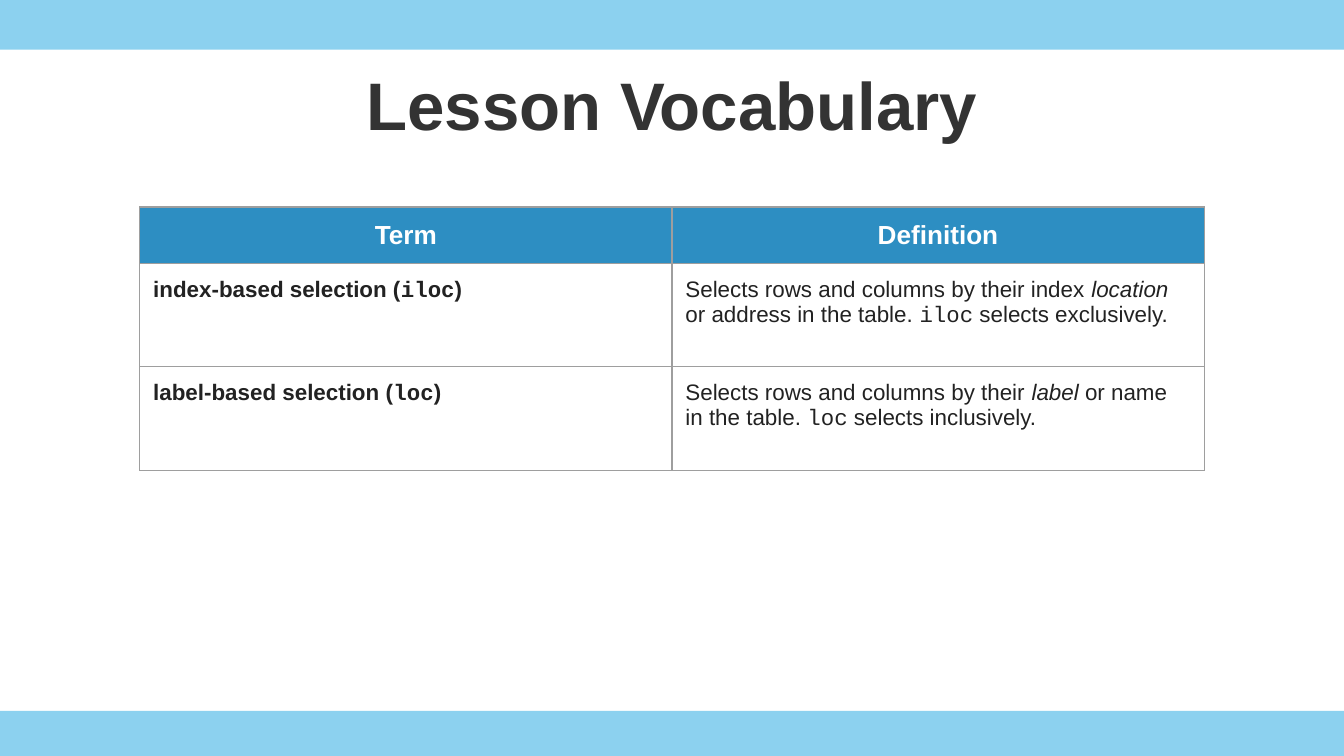
"""Build the lesson vocabulary slide."""
from lxml import etree
from pptx import Presentation
from pptx import util as u
from pptx.dml.color import RGBColor
from pptx.enum import shapes, text
from pptx.oxml import ns

HUES = {"band": "27A9E1", "title": "333333", "head": "2D8EC2",
        "white": "FFFFFF", "body": "222222", "rule": "9E9E9E"}
SANS, MONO = "Arial", "Courier New"
HEADS = ["Term", "Definition"]
ROWS = [
    ([("index-based selection (", {}), ("iloc", {"face": MONO}), (")", {})],
     [("Selects rows and columns by their index ", {}),
      ("location", {"slant": True}),
      (" or address in the table. ", {}),
      ("iloc", {"face": MONO}),
      (" selects exclusively.", {})]),
    ([("label-based selection (", {}), ("loc", {"face": MONO}), (")", {})],
     [("Selects rows and columns by their ", {}),
      ("label", {"slant": True}),
      (" or name in the table. ", {}),
      ("loc", {"face": MONO}),
      (" selects inclusively.", {})]),
]


def write(para, words, size=12, face=SANS, hue="body", bold=False, slant=False):
    run = para.add_run()
    run.text = words
    font = run.font
    font.size, font.name = u.Pt(size), face
    font.bold, font.italic = bold, slant
    font.color.rgb = RGBColor.from_string(HUES[hue])


class Deck:
    def __init__(self):
        self.show = Presentation()
        self.show.slide_width = u.Inches(10)
        self.show.slide_height = u.Inches(10 * 9 / 16)
        self.slide = self.show.slides.add_slide(self.show.slide_layouts[5])

    def band(self, top):
        bar = self.slide.shapes.add_shape(
            shapes.MSO_SHAPE.RECTANGLE, 0, u.Inches(top), u.Inches(10), u.Inches(0.37))
        bar.shadow.inherit = False
        bar.fill.solid()
        bar.fill.fore_color.rgb = RGBColor.from_string(HUES["band"])
        bar.line.fill.background()
        tint = bar.element.spPr.find(".//" + ns.qn("a:srgbClr"))
        etree.SubElement(tint, ns.qn("a:alpha"), val="53000")

    def title(self, words):
        box = self.slide.shapes.title
        box.left, box.top = u.Inches(0.5), u.Inches(0.23)
        box.width, box.height = u.Inches(9), u.Inches(0.94)
        frame = box.text_frame
        frame.auto_size = text.MSO_AUTO_SIZE.NONE
        frame.vertical_anchor = text.MSO_ANCHOR.BOTTOM
        frame.margin_left = frame.margin_right = u.Inches(0.1)
        frame.margin_top = frame.margin_bottom = u.Inches(0.1)
        para = frame.paragraphs[0]
        para.alignment = text.PP_ALIGN.CENTER
        write(para, words, size=36, hue="title", bold=True)

    def edge(self, cell):
        props = cell._tc.get_or_add_tcPr()
        for side in "LRTB":
            line = etree.SubElement(props, ns.qn("a:ln" + side), w=str(u.Pt(0.75)))
            fill = etree.SubElement(line, ns.qn("a:solidFill"))
            etree.SubElement(fill, ns.qn("a:srgbClr"), val=HUES["rule"])

    def cell(self, cell, hue=None):
        cell.margin_left = cell.margin_right = u.Inches(0.1)
        cell.margin_top = cell.margin_bottom = u.Inches(0.1)
        self.edge(cell)
        if hue:
            cell.fill.solid()
            cell.fill.fore_color.rgb = RGBColor.from_string(HUES[hue])
        else:
            cell.fill.background()
        return cell.text_frame.paragraphs[0]

    def table(self, heads, rows):
        tall = [0.42] + [0.77] * len(rows)
        grid = self.slide.shapes.add_table(
            len(tall), len(heads), u.Inches(1.04), u.Inches(1.54),
            u.Inches(7.92), u.Inches(sum(tall))).table
        grid.first_row = grid.horz_banding = False
        for row, high in zip(grid.rows, tall):
            row.height = u.Inches(high)
        for col, head in enumerate(heads):
            para = self.cell(grid.cell(0, col), "head")
            para.alignment = text.PP_ALIGN.CENTER
            write(para, head, size=14, hue="white", bold=True)
        for num, row in enumerate(rows, 1):
            for col, parts in enumerate(row):
                para = self.cell(grid.cell(num, col))
                for words, form in parts:
                    write(para, words, bold=col == 0, **form)


def main():
    deck = Deck()
    for top in (0, 5.29):
        deck.band(top)
    deck.title("Lesson Vocabulary")
    deck.table(HEADS, ROWS)
    deck.show.save("out.pptx")


if __name__ == "__main__":
    main()
